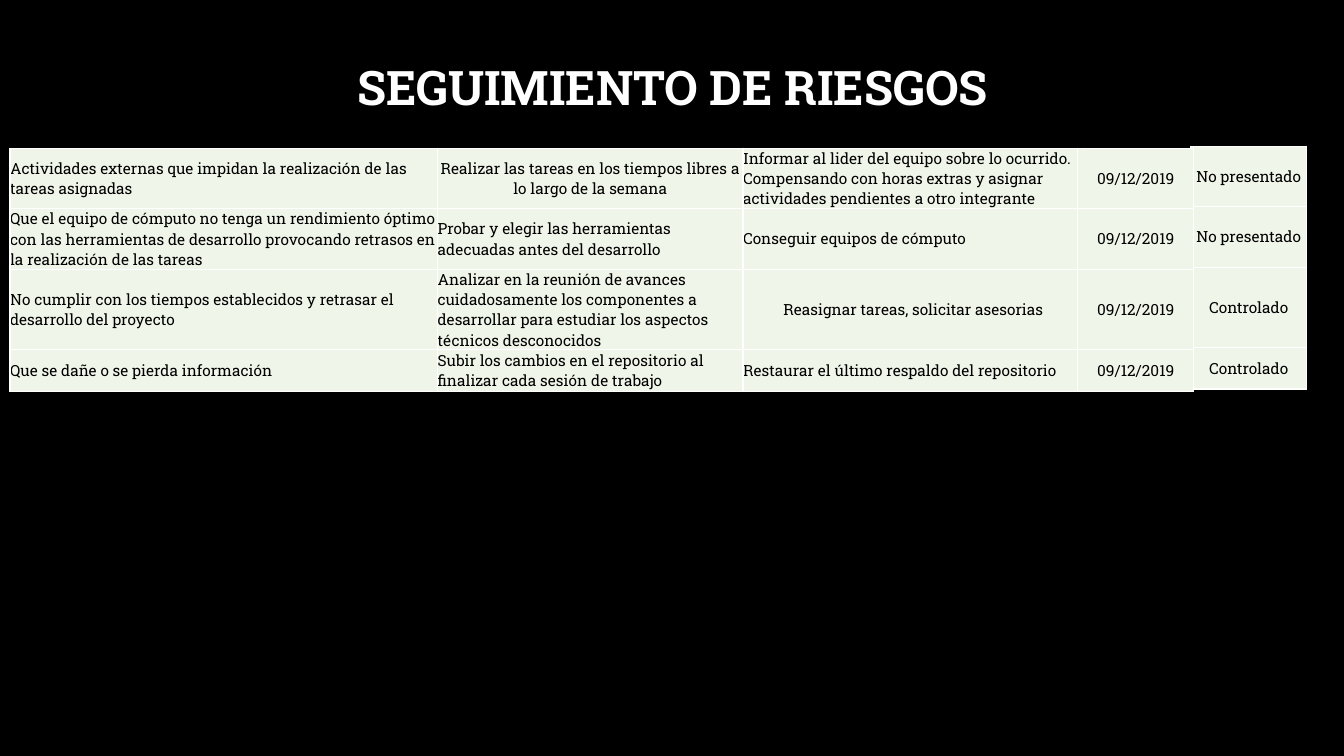
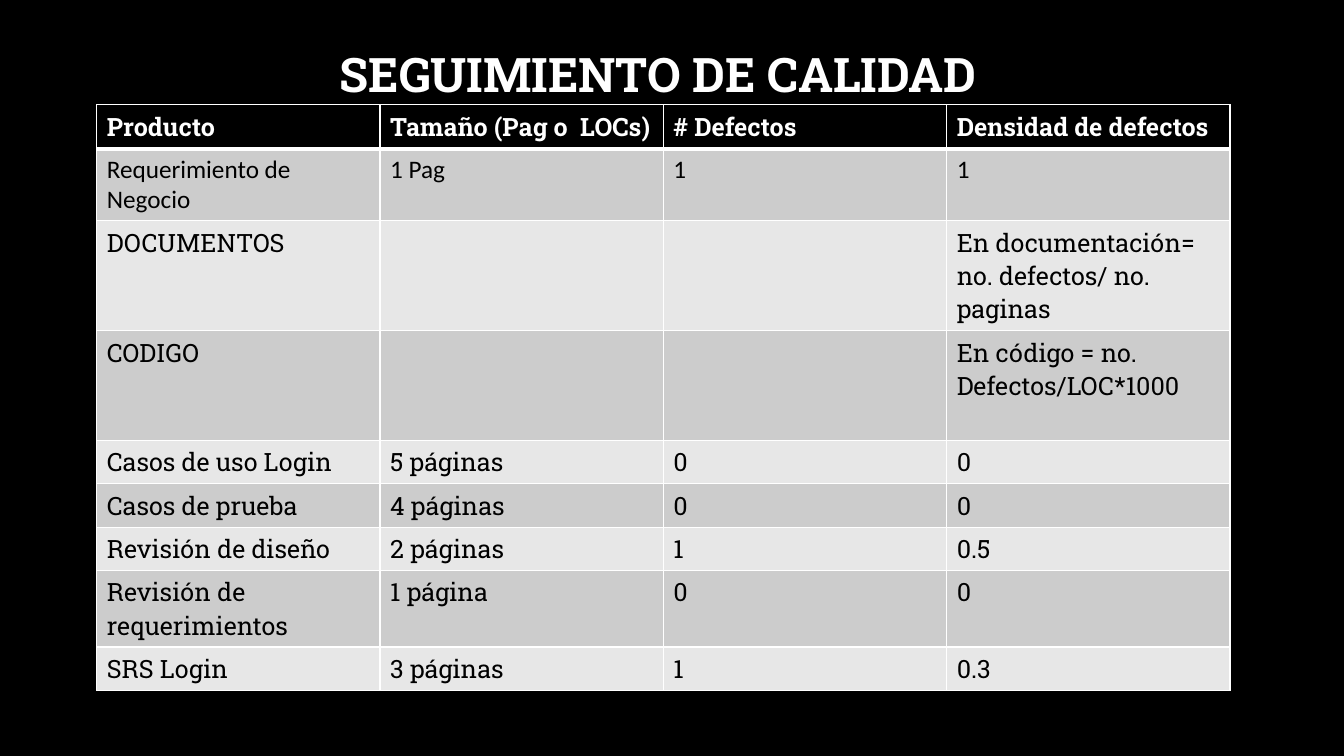
"""Build the risk and quality tracking slides."""
from lxml import etree
from pptx import Presentation
from pptx import util as u
from pptx.dml.color import RGBColor
from pptx.enum import text
from pptx.oxml import ns

BLACK = RGBColor(0x00, 0x00, 0x00)
WHITE = RGBColor(0xFF, 0xFF, 0xFF)
PALE_GREEN = RGBColor(0xF0, 0xF5, 0xE9)
GREY = RGBColor(0xCC, 0xCC, 0xCC)
LIGHT_GREY = RGBColor(0xE7, 0xE7, 0xE7)
SLAB = "Roboto Slab"
LEFT, CENTER = text.PP_ALIGN.LEFT, text.PP_ALIGN.CENTER

RISK_HEIGHTS = [0.6, 0.6, 0.8, 0.41]
RISK_COLUMNS = [
    (0.1, 1.47, 4.24, [
        ("Actividades externas que impidan la realización de las tareas asignadas", LEFT),
        ("Que el equipo de cómputo no tenga un rendimiento óptimo con las herramientas "
         "de desarrollo provocando retrasos en la realización de las tareas", LEFT),
        ("No cumplir con los tiempos establecidos y retrasar el desarrollo del proyecto", LEFT),
        ("Que se dañe o se pierda información", LEFT)]),
    (11.81, 1.45, 1.15, [
        ("No presentado", CENTER), ("No presentado", CENTER),
        ("Controlado", CENTER), ("Controlado", CENTER)]),
    (4.34, 1.47, 3.03, [
        ("Realizar las tareas en los tiempos libres a lo largo de la semana", CENTER),
        ("Probar y elegir las herramientas adecuadas antes del desarrollo", LEFT),
        ("Analizar en la reunión de avances cuidadosamente los componentes a desarrollar "
         "para estudiar los aspectos técnicos desconocidos", LEFT),
        ("Subir los cambios en el repositorio al finalizar cada sesión de trabajo", LEFT)]),
    (7.37, 1.47, 3.38, [
        ("Informar al lider del equipo sobre lo ocurrido. Compensando con horas extras "
         "y asignar actividades pendientes a otro integrante", LEFT),
        ("Conseguir equipos de cómputo", LEFT),
        ("Reasignar tareas, solicitar asesorias", CENTER),
        ("Restaurar el último respaldo del repositorio", LEFT)]),
    (10.69, 1.47, 1.15, [("09/12/2019", CENTER)] * 4),
]

QUALITY_ROWS = [
    (0.44, ["Producto", "Tamaño (Pag o  LOCs)", "# Defectos", "Densidad de defectos"]),
    (0.71, ["Requerimiento de Negocio", "1 Pag", "1", "1"]),
    (1.09, ["DOCUMENTOS", "", "", "En documentación= no. defectos/ no. paginas"]),
    (1.09, ["CODIGO", "", "", "En código = no. Defectos/LOC*1000"]),
    (0.43, ["Casos de uso Login", "5 páginas", "0", "0"]),
    (0.43, ["Casos de prueba", "4 páginas", "0", "0"]),
    (0.43, ["Revisión de diseño", "2 páginas", "1", "0.5"]),
    (0.76, ["Revisión de requerimientos", "1 página", "0", "0"]),
    (0.43, ["SRS Login", "3 páginas", "1", "0.3"]),
]


class Deck:
    """Hold the shared style and the current slide."""

    def __init__(self):
        self.prs = Presentation()
        self.prs.slide_width, self.prs.slide_height = u.Inches(13.33), u.Inches(7.5)
        self.slide = None

    def new_slide(self):
        """Start a black slide on the blank layout."""
        self.slide = self.prs.slides.add_slide(self.prs.slide_layouts[6])
        background = self.slide.background.fill
        background.solid()
        background.fore_color.rgb = BLACK

    def wording(self, paragraph, words, size, color, bold=False, font=SLAB, align=LEFT):
        """Set the words of a paragraph and format them."""
        paragraph.text = words
        paragraph.alignment = align
        for face in [paragraph.font] + [run.font for run in paragraph.runs]:
            face.name, face.size, face.bold = font, u.Pt(size), bold
            face.color.rgb = color

    def title(self, words, left, top):
        """Add the centred slide title."""
        heading = self.slide.shapes.add_textbox(
            u.Inches(left), u.Inches(top), u.Inches(11.32), u.Inches(1.45)).text_frame
        heading.word_wrap = True
        heading.vertical_anchor = text.MSO_ANCHOR.MIDDLE
        self.wording(heading.paragraphs[0], words, 34, WHITE, bold=True, align=CENTER)
        heading.paragraphs[0].line_spacing = 0.9

    def table(self, left, top, widths, heights):
        """Add a table with the given column widths and row heights."""
        grid = self.slide.shapes.add_table(
            len(heights), len(widths), u.Inches(left), u.Inches(top),
            u.Inches(sum(widths)), u.Inches(sum(heights))).table
        grid.horz_banding = False
        for column, width in zip(grid.columns, widths):
            column.width = u.Inches(width)
        for row, height in zip(grid.rows, heights):
            row.height = u.Inches(height)
        return grid

    def cell(self, cell, words, fill, size, color=BLACK, top_line=1, bottom_line=1, **style):
        """Fill, border and word one table cell."""
        cell.fill.solid()
        cell.fill.fore_color.rgb = fill
        properties = cell._tc.get_or_add_tcPr()
        edges = [("lnL", 1), ("lnR", 1), ("lnT", top_line), ("lnB", bottom_line)]
        for position, (edge, weight) in enumerate(edges):
            line = etree.Element(ns.qn(f"a:{edge}"), w=str(u.Pt(weight)))
            paint = etree.SubElement(line, ns.qn("a:solidFill"))
            etree.SubElement(paint, ns.qn("a:srgbClr"), val=str(WHITE))
            properties.insert(position, line)
        self.wording(cell.text_frame.paragraphs[0], words, size, color, **style)

    def risk_column(self, left, top, width, entries):
        """Add one column of the risk follow-up."""
        grid = self.table(left, top, [width], RISK_HEIGHTS)
        grid.first_row = False
        for row, (words, align) in enumerate(entries):
            entry = grid.cell(row, 0)
            entry.margin_left = entry.margin_right = u.Inches(0)
            entry.margin_top = entry.margin_bottom = u.Inches(0)
            entry.vertical_anchor = text.MSO_ANCHOR.MIDDLE
            self.cell(entry, words, PALE_GREEN, 11, align=align)

    def quality_table(self, left, top):
        """Add the banded table of products and defects."""
        grid = self.table(left, top, [2.81] * 4, [height for height, _ in QUALITY_ROWS])
        for row, (_, values) in enumerate(QUALITY_ROWS):
            if row == 0:
                style = dict(fill=BLACK, color=WHITE, bold=True, bottom_line=3)
            else:
                style = dict(fill=GREY if row % 2 else LIGHT_GREY)
            if row == 1:
                style.update(font="Calibri", top_line=3)
            for column, words in enumerate(values):
                self.cell(grid.cell(row, column), words, size=18, **style)


def main():
    """Build both slides and save them."""
    deck = Deck()
    deck.new_slide()
    deck.title("SEGUIMIENTO DE RIESGOS", 1.01, 0.17)
    for risk_column in RISK_COLUMNS:
        deck.risk_column(*risk_column)
    deck.new_slide()
    deck.title("SEGUIMIENTO DE CALIDAD", 0.87, 0.04)
    deck.quality_table(0.96, 1.04)
    deck.prs.save("out.pptx")


if __name__ == "__main__":
    main()
